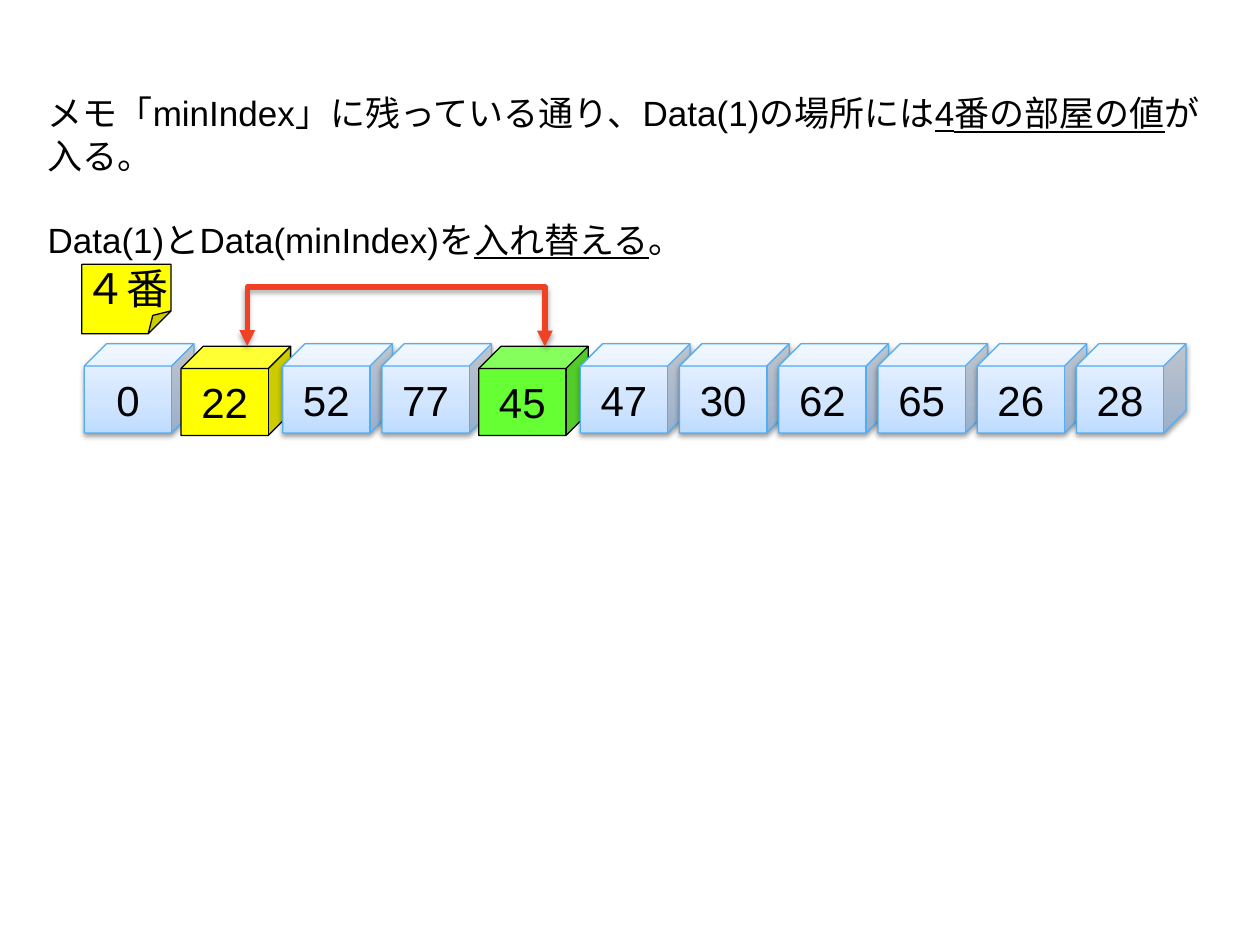
from copy import deepcopy
from lxml import etree
from pptx import Presentation
from pptx import util as u
from pptx.dml.color import RGBColor
from pptx.enum import shapes, text
from pptx.oxml.ns import qn

BLACK = RGBColor(0x00, 0x00, 0x00)
YELLOW = RGBColor(0xFF, 0xFF, 0x00)
GREEN = RGBColor(0x66, 0xFF, 0x33)
RED = RGBColor(0xF1, 0x41, 0x24)
BLUE_LINE = RGBColor(0x52, 0xAD, 0xF2)
BLUE_STOPS = [
    (0, RGBColor(0xBE, 0xDC, 0xFF)),
    (0.35, RGBColor(0xD1, 0xE5, 0xFF)),
    (1, RGBColor(0xEE, 0xF5, 0xFF)),
]

presentation = Presentation()
presentation.slide_width = u.Cm(25.4)
presentation.slide_height = u.Cm(19.05)
slide = presentation.slides.add_slide(presentation.slide_layouts[6])


def add_labelled(kind, left, top, width, height, label):
    shape = slide.shapes.add_shape(kind, u.Cm(left), u.Cm(top), u.Cm(width), u.Cm(height))
    shape.shadow.inherit = False
    shape.line.width = u.Pt(0.75)
    shape.line.color.rgb = BLACK
    frame = shape.text_frame
    frame.word_wrap = False
    frame.vertical_anchor = text.MSO_ANCHOR.MIDDLE
    paragraph = frame.paragraphs[0]
    paragraph.text = label
    paragraph.alignment = text.PP_ALIGN.CENTER
    paragraph.font.size = u.Pt(24)
    paragraph.font.name = "Arial"
    paragraph.font.color.rgb = BLACK
    return shape


def add_shadow(properties, distance, opacity):
    effects = properties.find(qn("a:effectLst"))
    if effects is None:
        effects = etree.SubElement(properties, qn("a:effectLst"))
    shadow = etree.SubElement(effects, qn("a:outerShdw"), blurRad=str(u.Pt(3.1)),
                              dist=str(u.Pt(distance)), dir="5400000", rotWithShape="0")
    color = etree.SubElement(shadow, qn("a:srgbClr"), val="000000")
    etree.SubElement(color, qn("a:alpha"), val=str(opacity * 1000))


values = [0, 22, 52, 77, 45, 47, 30, 62, 65, 26, 28]
swapped = {1: YELLOW, 4: GREEN}
for index, value in enumerate(values):
    shift = 0.05 if index in swapped else 0
    cube = add_labelled(shapes.MSO_SHAPE.CUBE, 1.7 + 2 * index - shift, 6.93 + shift,
                        2.21, 1.8, str(value))
    if index in swapped:
        cube.fill.solid()
        cube.fill.fore_color.rgb = swapped[index]
        continue
    cube.line.color.rgb = BLUE_LINE
    cube.fill.gradient()
    cube.fill.gradient_angle = 90
    stop_list = cube._element.spPr.find(".//" + qn("a:gsLst"))
    stop_list.append(deepcopy(stop_list[0]))
    for stop, (position, color) in zip(cube.fill.gradient_stops, BLUE_STOPS):
        stop.position = position
        stop.color.rgb = color
    add_shadow(cube._element.spPr, 1.6, 38)

swap_arrow = slide.shapes.add_connector(
    shapes.MSO_CONNECTOR.ELBOW, u.Cm(7.98), u.Cm(9.98), u.Cm(7.99), u.Cm(3.98))
properties = swap_arrow._element.spPr
properties.find(qn("a:xfrm")).set("rot", "5400000")
swap_arrow.line.width = u.Pt(3)
swap_arrow.line.color.rgb = RED
for end in ("a:headEnd", "a:tailEnd"):
    etree.SubElement(properties.find(qn("a:ln")), qn(end), type="triangle")
add_shadow(properties, 1.8, 35)

explanation = slide.shapes.add_textbox(u.Cm(0.71), u.Cm(1.73), u.Cm(23.95), u.Cm(2.82))
frame = explanation.text_frame
frame.word_wrap = True
sentences = [
    [("メモ「minIndex」に残っている通り、Data(1)の場所には", False),
     ("4番の部屋の値", True), ("が入る。", False)],
    [("Data(1)とData(minIndex)を", False), ("入れ替える", True), ("。", False)],
]
for number, sentence in enumerate(sentences):
    paragraph = frame.add_paragraph() if number else frame.paragraphs[0]
    if number:
        paragraph.space_before = u.Pt(24)
    paragraph.font.size = u.Pt(20)
    paragraph.font.name = "Arial"
    paragraph.font.color.rgb = BLACK
    for words, underlined in sentence:
        run = paragraph.add_run()
        run.text = words
        if underlined:
            run.font.underline = True

memo = add_labelled(shapes.MSO_SHAPE.FOLDED_CORNER, 1.65, 5.33, 1.8, 1.4, "４番")
memo.fill.solid()
memo.fill.fore_color.rgb = YELLOW

for bent, guide, amount in ((swap_arrow, "adj1", -11900000), (memo, "adj", 33000)):
    geometry = bent._element.spPr.find(qn("a:prstGeom"))
    for old in geometry.findall(qn("a:avLst")):
        geometry.remove(old)
    guides = etree.SubElement(geometry, qn("a:avLst"))
    etree.SubElement(guides, qn("a:gd"), name=guide, fmla=f"val {amount}")

presentation.save("out.pptx")
